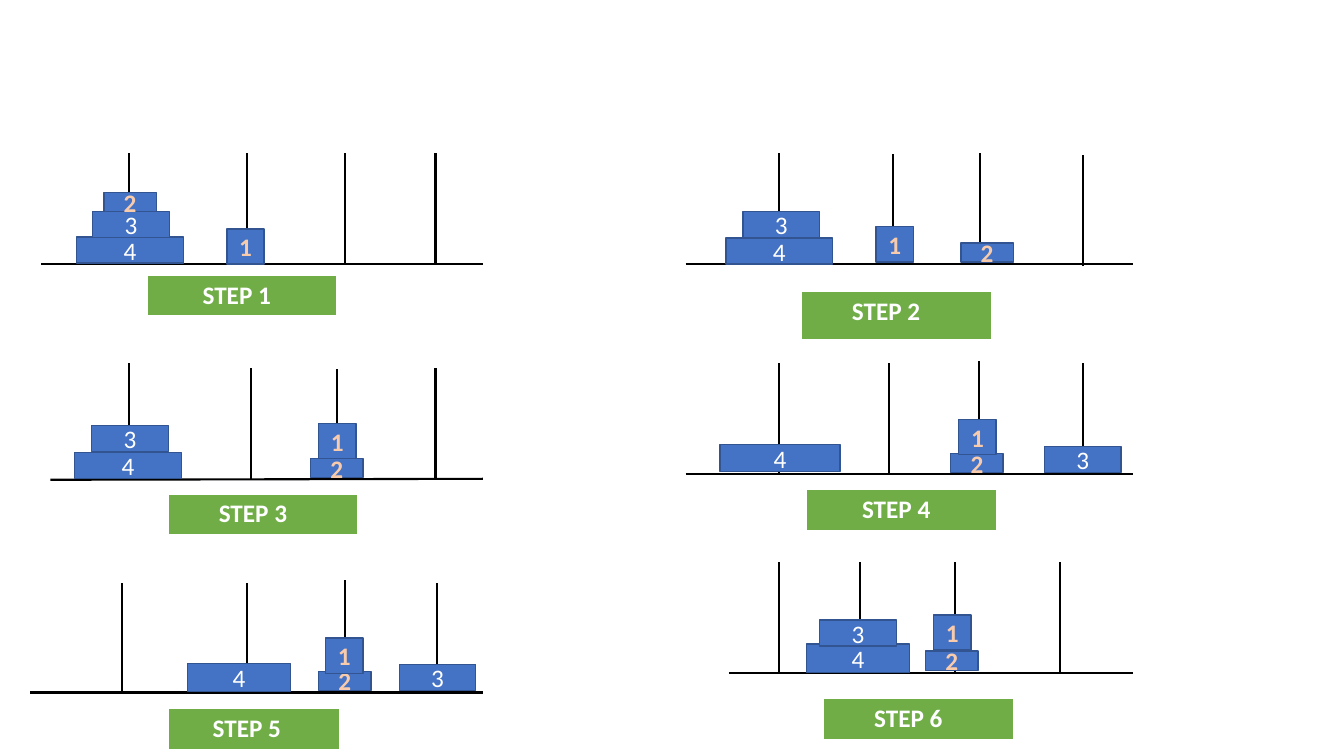
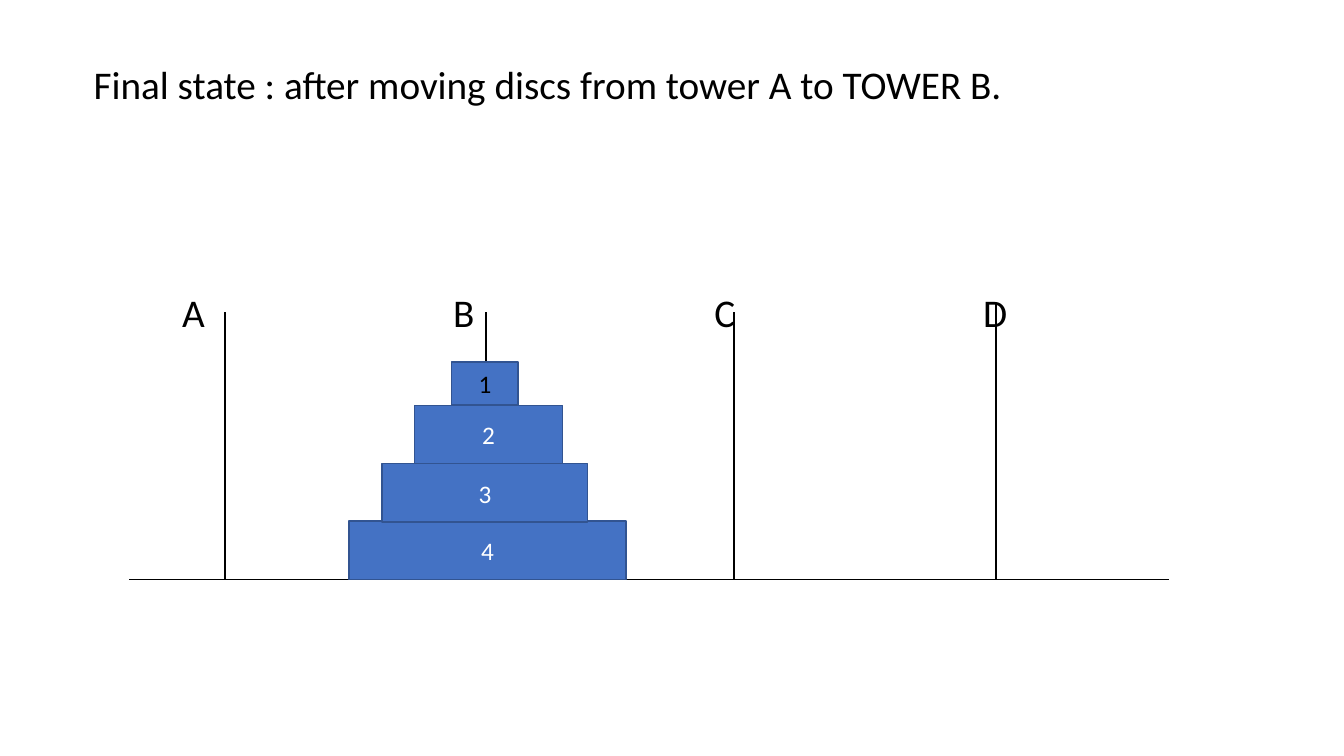
import pptx
import pptx.util
import pptx.dml.color
import pptx.enum.shapes
import pptx.enum.text
import pptx.oxml
import pptx.oxml.ns

Inches = pptx.util.Inches
Pt = pptx.util.Pt

HUES = {
    "ink": "000000", "paper": "FFFFFF", "disc": "4472C4", "edge": "325491",
    "step": "70AD47", "peach": "F8CBAD", "glow": "ED7D31",
}
FONT = "Calibri"
ROD = 1.1

# Width and height of each disc
SIZES = {1: (0.37, 0.35), 2: (0.52, 0.19), 3: (0.76, 0.26), 4: (1.06, 0.26)}

# label: left, top, width, height, indent
# base: x1, y1, x2, y2; rods: x, top
# discs: number, left, top and, where it differs, width, height
STEPS = [
    {"label": (1.46, 2.73, 1.88, 0.4, 0.45),
     "base": (0.41, 2.62, 4.79, 2.62),
     "rods": [(1.28, 1.52), (2.45, 1.52), (3.42, 1.52), (4.32, 1.52)],
     "discs": [(4, 0.76, 2.35), (3, 0.92, 2.1), (2, 1.03, 1.91), (1, 2.25, 2.27)]},
    {"label": (7.95, 2.89, 1.88, 0.48, 0.4),
     "base": (6.8, 2.62, 11.24, 2.62),
     "rods": [(7.73, 1.52), (8.86, 1.53), (9.72, 1.52), (10.74, 1.54)],
     "discs": [(3, 7.37, 2.1), (4, 7.2, 2.36), (1, 8.69, 2.25), (2, 9.53, 2.41)]},
    {"label": (1.67, 4.9, 1.88, 0.4, 0.4),
     "base": (0.5, 4.76, 4.79, 4.75),
     "rods": [(1.28, 3.6), (2.49, 3.65), (3.34, 3.66), (4.32, 3.65)],
     "discs": [(4, 0.74, 4.49), (3, 0.91, 4.22), (2, 3.08, 4.55), (1, 3.16, 4.2)]},
    {"label": (8, 4.86, 1.88, 0.4, 0.45),
     "base": (6.8, 4.7, 11.24, 4.7),
     "rods": [(7.73, 3.6), (8.82, 3.6), (9.71, 3.58), (10.74, 3.6)],
     "discs": [(4, 7.14, 4.41, 1.19, 0.27), (2, 9.43, 4.5), (1, 9.51, 4.16),
               (3, 10.36, 4.43)]},
    {"label": (1.67, 7.03, 1.7, 0.4, 0.34),
     "base": (0.3, 6.87, 4.79, 6.87),
     "rods": [(1.21, 5.78), (2.45, 5.78), (3.42, 5.75), (4.33, 5.78)],
     "discs": [(4, 1.86, 6.58, 1.02, 0.28), (2, 3.16, 6.66), (1, 3.23, 6.33),
               (3, 3.96, 6.59)]},
    {"label": (8.17, 6.93, 1.88, 0.4, 0.4),
     "base": (7.23, 6.68, 11.24, 6.68),
     "rods": [(7.73, 5.58), (8.53, 5.58), (9.47, 5.58), (10.51, 5.58)],
     "discs": [(2, 9.18, 6.46), (4, 8, 6.39, 1.02, 0.28), (3, 8.13, 6.15),
               (1, 9.26, 6.1)]},
]

# Final state: letter, its centre, rod x, rod top
TOWERS = [("A", 1.92, 2.23, 3.1), ("B", 4.6, 4.82, 3.1),
          ("C", 7.19, 7.28, 3.1), ("D", 9.87, 9.88, 3.02)]
# number, left, top, width, height
STACK = [(4, 3.46, 5.17, 2.75, 0.58), (3, 3.79, 4.6, 2.04, 0.58),
         (2, 4.11, 4.02, 1.47, 0.58), (1, 4.48, 3.59, 0.66, 0.43)]


def hue(name):
    return pptx.dml.color.RGBColor.from_string(HUES[name])


class Deck:
    def __init__(self):
        self.file = pptx.Presentation()
        self.file.slide_width = Inches(13.33)
        self.file.slide_height = Inches(7.5)
        self.slide = None

    def page(self):
        self.slide = self.file.slides.add_slide(self.file.slide_layouts[6])

    def run(self, para, text, size, color, bold=False):
        run = para.add_run()
        run.text = text
        run.font.name = FONT
        run.font.size = Pt(size)
        run.font.bold = bold
        run.font.color.rgb = hue(color)
        return run

    def line(self, x1, y1, x2, y2, width):
        line = self.slide.shapes.add_connector(
            pptx.enum.shapes.MSO_CONNECTOR.STRAIGHT,
            Inches(x1), Inches(y1), Inches(x2), Inches(y2))
        line.line.color.rgb = hue("ink")
        line.line.width = Pt(width)
        props = line._element.spPr
        props.append(props.makeelement(pptx.oxml.ns.qn("a:effectLst"), {}))

    def disc(self, num, x, y, w, h, color, glow=False):
        box = self.slide.shapes.add_shape(
            pptx.enum.shapes.MSO_SHAPE.RECTANGLE,
            Inches(x), Inches(y), Inches(w), Inches(h))
        box.shadow.inherit = False
        box.fill.solid()
        box.fill.fore_color.rgb = hue("disc")
        box.line.color.rgb = hue("edge")
        box.line.width = Pt(1)
        frame = box.text_frame
        frame.word_wrap = True
        frame.vertical_anchor = pptx.enum.text.MSO_ANCHOR.MIDDLE
        para = frame.paragraphs[0]
        para.alignment = pptx.enum.text.PP_ALIGN.CENTER
        run = self.run(para, str(num), 18, color, glow)
        if glow:
            run.font._element.insert(0, pptx.oxml.parse_xml(
                f'<a:ln {pptx.oxml.ns.nsdecls("a")} w="{Pt(1.75)}"><a:solidFill>'
                f'<a:srgbClr val="{HUES["glow"]}"/></a:solidFill></a:ln>'))

    def label(self, text, x, y, w, h, indent):
        # The header row of the default style brings the white borders
        grid = self.slide.shapes.add_table(
            1, 1, Inches(x), Inches(y), Inches(w), Inches(h)).table
        cell = grid.cell(0, 0)
        cell.fill.solid()
        cell.fill.fore_color.rgb = hue("step")
        cell.margin_left = Inches(0.1 + indent)
        self.run(cell.text_frame.paragraphs[0], text, 18, "paper", True)

    def text(self, text, x, y, w, h, center=False):
        box = self.slide.shapes.add_textbox(
            Inches(x), Inches(y), Inches(w), Inches(h))
        box.text_frame.word_wrap = True
        para = box.text_frame.paragraphs[0]
        para.line_spacing = 0.9
        if center:
            para.alignment = pptx.enum.text.PP_ALIGN.CENTER
        self.run(para, text, 28, "ink")

    def step(self, num, label, base, rods, discs):
        self.line(*base, 1.5)
        for x, top in rods:
            self.line(x, top + ROD, x, top, 1.5)
        for disc, x, y, *size in discs:
            small = disc < 3
            self.disc(disc, x, y, *(size or SIZES[disc]),
                      "peach" if small else "paper", small)
        self.label(f"STEP {num}", *label)


def main():
    deck = Deck()

    # Six moves
    deck.page()
    for num, step in enumerate(STEPS, 1):
        deck.step(num, **step)

    # Final state
    deck.page()
    deck.text("Final state : after moving discs from tower A to TOWER B.",
              0.83, 0.6, 11.67, 0.55)
    for name, mid, x, top in TOWERS:
        deck.text(name, mid - 0.3, 2.86, 0.6, 0.55, True)
    deck.line(1.28, 5.75, 11.59, 5.75, 1)
    for name, mid, x, top in TOWERS:
        deck.line(x, 5.75, x, top, 1)
    for num, *place in STACK:
        deck.disc(num, *place, "ink" if num == 1 else "paper")

    deck.file.save("out.pptx")


if __name__ == "__main__":
    main()
